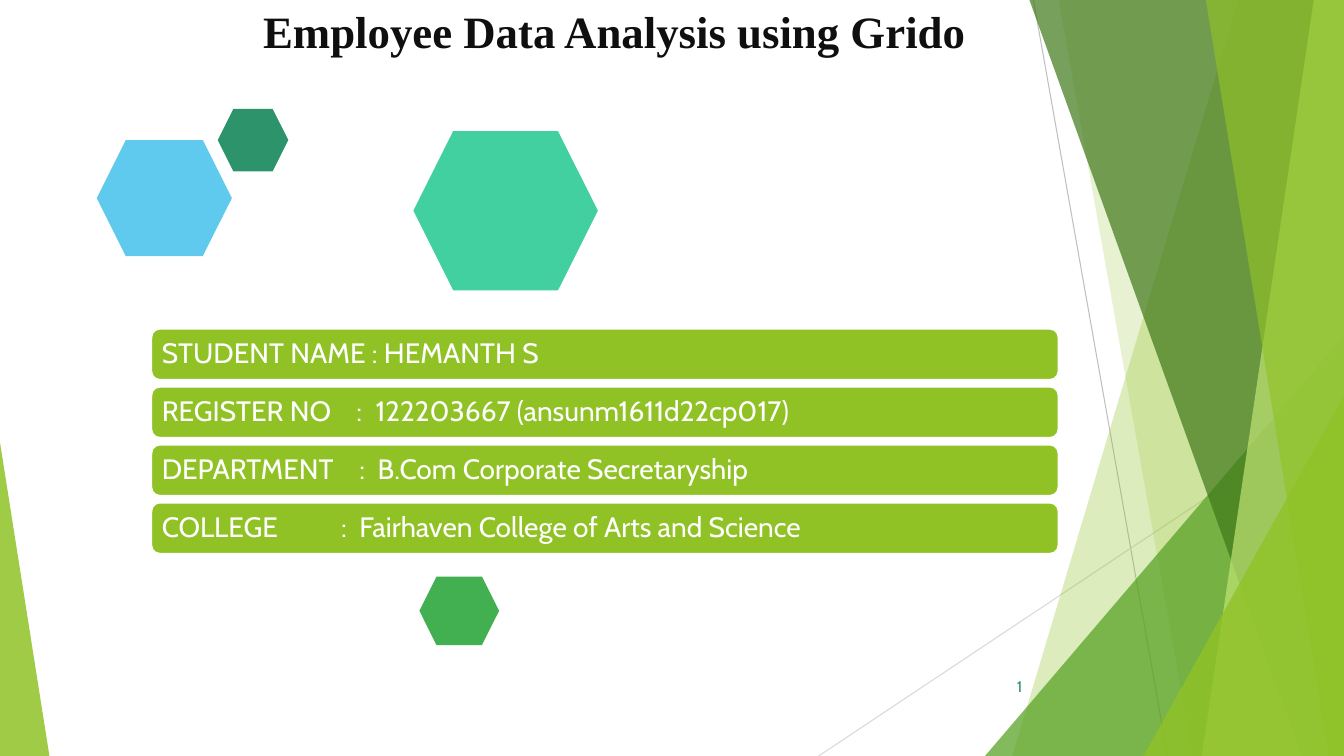
import pptx
import pptx.util
import pptx.dml.color
import pptx.enum.shapes
import pptx.enum.text
import pptx.oxml.ns
import lxml.etree

Inches, Pt = pptx.util.Inches, pptx.util.Pt
SHAPE = pptx.enum.shapes.MSO_SHAPE
ANCHOR = pptx.enum.text.MSO_ANCHOR
COLORS = {
    "lime": "90C226", "leaf": "54A021", "forest": "3F7819", "pale": "C0E474",
    "sky": "5FCAEE", "teal": "2D936B", "mint": "42D0A1", "green": "42AF51",
    "gray": "BFBFBF", "light gray": "D9D9D9", "black": "0F0F0F", "white": "FFFFFF",
}


def rgb(name):
    return pptx.dml.color.RGBColor.from_string(COLORS[name])


def add_child(parent, tag, **attributes):
    return lxml.etree.SubElement(parent, pptx.oxml.ns.qn(tag), attributes)


deck = pptx.Presentation()
deck.slide_width, deck.slide_height = Inches(13.33), Inches(7.5)
page = deck.slides.add_slide(deck.slide_layouts[6])

# Thin background lines
for x1, y1, x2, y2, color in [
    (10.25, 0, 11.58, 7.5, "gray"),
    (13.33, 4.03, 8.12, 7.5, "light gray"),
]:
    line = page.shapes.add_connector(
        pptx.enum.shapes.MSO_CONNECTOR.STRAIGHT,
        Inches(x1), Inches(y1), Inches(x2), Inches(y2))
    line.line.color.rgb = rgb(color)
    line.line.width = Pt(0.75)
    add_child(line._element.spPr, "a:effectLst")

# Translucent panels: outline, colour, opacity in percent
right_top, right_bottom = (13.33, 0), (13.33, 7.5)
panels = [
    ([(12.28, 0), right_top, right_bottom, (10.04, 7.5)], "lime", 30),
    ([(10.5, 0), right_top, right_bottom, (11.83, 7.5)], "lime", 20),
    ([(13.33, 3.33), right_bottom, (9.77, 7.5)], "leaf", 72),
    ([(10.21, 0), right_top, right_bottom, (12.91, 7.5)], "forest", 70),
    ([(13.03, 0), right_top, right_bottom, (11.92, 7.5)], "pale", 70),
    ([(11.96, 0), right_top, right_bottom, (13.18, 7.5)], "lime", 65),
    ([(13.33, 3.93), right_bottom, (11.34, 7.5)], "lime", 80),
    ([(0, 4.39), (0.49, 7.5), (0, 7.5)], "lime", 85),
]
for outline, color, opacity in panels:
    points = [(Inches(x), Inches(y)) for x, y in outline]
    builder = page.shapes.build_freeform(*points[0])
    builder.add_line_segments(points[1:], close=True)
    panel = builder.convert_to_shape()
    panel.shadow.inherit = False
    panel.fill.solid()
    panel.fill.fore_color.rgb = rgb(color)
    panel.line.fill.background()
    swatch = panel._element.spPr.find(".//" + pptx.oxml.ns.qn("a:srgbClr"))
    add_child(swatch, "a:alpha", val=str(opacity * 1000))

# Hexagons
for left, top, width, height, color in [
    (0.96, 1.39, 1.34, 1.15, "sky"),
    (2.16, 1.08, 0.7, 0.62, "teal"),
    (4.1, 1.3, 1.83, 1.58, "mint"),
    (4.16, 5.72, 0.79, 0.68, "green"),
]:
    hexagon = page.shapes.add_shape(
        SHAPE.HEXAGON, Inches(left), Inches(top), Inches(width), Inches(height))
    hexagon.shadow.inherit = False
    hexagon.fill.solid()
    hexagon.fill.fore_color.rgb = rgb(color)
    hexagon.line.fill.background()

# Title and page number
for at, text, font, size, color, bold, align, anchor, before in [
    ((2.61, 0.02, 7.4, 1.1), "Employee Data Analysis using Grido", "Times New Roman",
     32, "black", True, pptx.enum.text.PP_ALIGN.LEFT, ANCHOR.TOP, 1.3),
    ((9.39, 6.6, 0.75, 0.4), "1", "Cabin",
     11, "teal", False, pptx.enum.text.PP_ALIGN.RIGHT, ANCHOR.MIDDLE, 0.6),
]:
    box = page.shapes.add_textbox(*[Inches(value) for value in at])
    frame = box.text_frame
    frame.word_wrap = True
    frame.vertical_anchor = anchor
    frame.margin_left = frame.margin_right = frame.margin_bottom = 0
    frame.margin_top = Inches(0.02)
    para = frame.paragraphs[0]
    para.text = text
    para.alignment = align
    para.space_before = Pt(before)
    para.font.name, para.font.size, para.font.bold = font, Pt(size), bold
    para.font.color.rgb = rgb(color)

# Student details: text and tab stops for the colon and the value
details = [
    ("STUDENT NAME : HEMANTH S", []),
    ("REGISTER NO\t:\t122203667 (ansunm1611d22cp017)", [1.93, 2.12]),
    ("DEPARTMENT\t:\tB.Com Corporate Secretaryship", [1.96, 2.14]),
    ("COLLEGE\t:\tFairhaven College of Arts and Science", [1.78, 1.96]),
]
for row, (text, stops) in enumerate(details):
    bar = page.shapes.add_shape(
        SHAPE.ROUNDED_RECTANGLE,
        Inches(1.5), Inches(3.26 + row * 0.575), Inches(9), Inches(0.51))
    bar.shadow.inherit = False
    bar.fill.solid()
    bar.fill.fore_color.rgb = rgb("lime")
    bar.line.color.rgb = rgb("white")
    bar.line.width = Pt(1.5)
    frame = bar.text_frame
    frame.word_wrap = True
    frame.vertical_anchor = ANCHOR.MIDDLE
    frame.margin_left = frame.margin_right = Inches(0.08)
    frame.margin_top = frame.margin_bottom = Inches(0.05)
    para = frame.paragraphs[0]
    para.text = text
    para.alignment = pptx.enum.text.PP_ALIGN.LEFT
    para.line_spacing = 0.9
    para.font.name, para.font.size = "Cabin", Pt(20)
    para.font.color.rgb = rgb("white")
    if stops:
        tabs = lxml.etree.Element(pptx.oxml.ns.qn("a:tabLst"))
        for stop in stops:
            add_child(tabs, "a:tab", pos=str(Inches(stop)), algn="l")
        para.font._element.addprevious(tabs)

deck.save("out.pptx")
